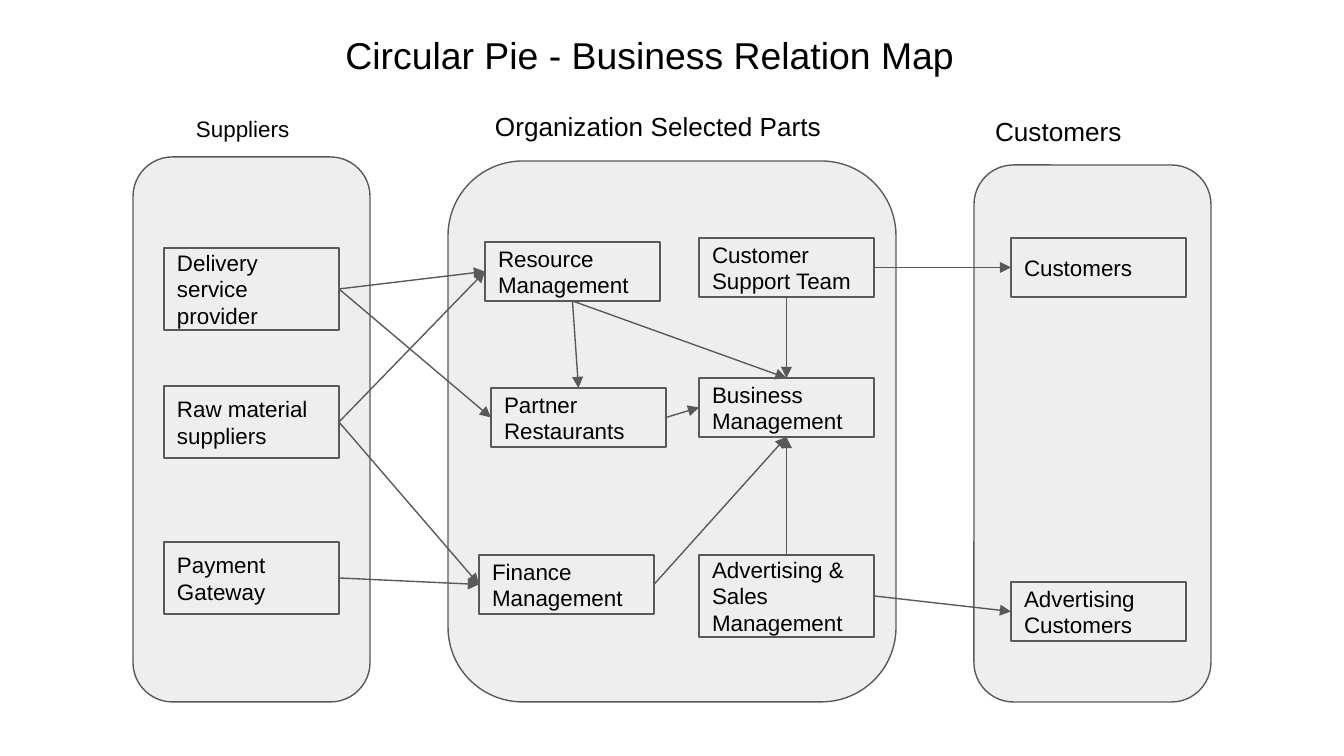
from dataclasses import dataclass

import pptx
import pptx.dml.color
import pptx.enum.shapes
import pptx.enum.text
import pptx.oxml
import pptx.oxml.ns
import pptx.shapes.autoshape
import pptx.util

EMU_PER_PX = 914400 / 134.4
COLORS = {"fill": "EEEEEE", "line": "595959", "text": "000000"}
FONT = "Arial"
INSET = 13
BOX_WIDTH = 175
TOP, LEFT, BOTTOM, RIGHT = range(4)  # connection sites of a rectangle

Anchor = pptx.enum.text.MSO_ANCHOR
Align = pptx.enum.text.PP_ALIGN
Preset = pptx.enum.shapes.MSO_SHAPE


@dataclass(frozen=True)
class Panel:
    heading: str
    heading_area: tuple[int, int, int, int]
    heading_size: int
    area: tuple[int, int, int, int]


@dataclass(frozen=True)
class Unit:
    key: str
    label: str
    left: int
    top: int
    height: int = 59


@dataclass(frozen=True)
class Relation:
    source: str
    source_site: int
    target: str
    target_site: int


PANELS = [
    Panel("Suppliers", (183, 102, 181, 54), 12, (133, 157, 237, 545)),
    Panel("Organization Selected Parts", (482, 97, 414, 59), 14, (448, 161, 448, 541)),
    Panel("Customers", (982, 102, 181, 59), 14, (974, 165, 237, 537)),
]

UNITS = [
    Unit("delivery", "Delivery service provider", 164, 248, 82),
    Unit("materials", "Raw material suppliers", 164, 386, 72),
    Unit("payment", "Payment Gateway", 164, 542, 72),
    Unit("resource", "Resource Management", 485, 242),
    Unit("partner", "Partner Restaurants", 491, 388),
    Unit("finance", "Finance Management", 479, 555),
    Unit("support", "Customer Support Team", 699, 238),
    Unit("business", "Business\nManagement", 699, 378),
    Unit("advertising", "Advertising & Sales Management", 699, 555, 82),
    Unit("customers", "Customers", 1011, 238),
    Unit("advertisers", "Advertising Customers", 1011, 582),
]

RELATIONS = [
    Relation("delivery", RIGHT, "resource", LEFT),
    Relation("delivery", RIGHT, "partner", LEFT),
    Relation("materials", RIGHT, "resource", LEFT),
    Relation("materials", RIGHT, "finance", LEFT),
    Relation("payment", RIGHT, "finance", LEFT),
    Relation("resource", BOTTOM, "partner", TOP),
    Relation("resource", BOTTOM, "business", TOP),
    Relation("partner", RIGHT, "business", LEFT),
    Relation("finance", RIGHT, "business", BOTTOM),
    Relation("support", BOTTOM, "business", TOP),
    Relation("advertising", TOP, "business", BOTTOM),
    Relation("support", RIGHT, "customers", LEFT),
    Relation("advertising", RIGHT, "advertisers", LEFT),
]


def px(length: int) -> pptx.util.Emu:
    return pptx.util.Emu(round(length * EMU_PER_PX))


def color(name: str) -> pptx.dml.color.RGBColor:
    return pptx.dml.color.RGBColor.from_string(COLORS[name])


def write(shape, text: str, *, size: int, align=Align.LEFT, anchor=Anchor.TOP) -> None:
    frame = shape.text_frame
    frame.text = text
    frame.word_wrap = True
    frame.auto_size = pptx.enum.text.MSO_AUTO_SIZE.NONE
    frame.vertical_anchor = anchor
    frame.margin_left = frame.margin_right = px(INSET)
    frame.margin_top = frame.margin_bottom = px(INSET)
    for paragraph in frame.paragraphs:
        paragraph.alignment = align
        paragraph.font.name = FONT
        paragraph.font.size = pptx.util.Pt(size)
        paragraph.font.color.rgb = color("text")


def style_line(line) -> None:
    line.color.rgb = color("line")
    line.width = pptx.util.Pt(0.75)


def draw_outlined(slide, preset, area: tuple[int, int, int, int]) -> pptx.shapes.autoshape.Shape:
    shape = slide.shapes.add_shape(preset, *map(px, area))
    shape.shadow.inherit = False
    shape.fill.solid()
    shape.fill.fore_color.rgb = color("fill")
    style_line(shape.line)
    return shape


def draw_panel(slide, panel: Panel) -> None:
    draw_outlined(slide, Preset.ROUNDED_RECTANGLE, panel.area)
    heading = slide.shapes.add_textbox(*map(px, panel.heading_area))
    write(heading, panel.heading, size=panel.heading_size)


def draw_unit(slide, unit: Unit) -> pptx.shapes.autoshape.Shape:
    box = draw_outlined(slide, Preset.RECTANGLE, (unit.left, unit.top, BOX_WIDTH, unit.height))
    write(box, unit.label, size=12, anchor=Anchor.MIDDLE)
    return box


def draw_relation(slide, relation: Relation, boxes: dict) -> None:
    arrow = slide.shapes.add_connector(pptx.enum.shapes.MSO_CONNECTOR.STRAIGHT, 0, 0, 0, 0)
    arrow.begin_connect(boxes[relation.source], relation.source_site)
    arrow.end_connect(boxes[relation.target], relation.target_site)
    style_line(arrow.line)
    properties = arrow.element.spPr
    namespace = pptx.oxml.ns.nsdecls("a")
    properties.find(pptx.oxml.ns.qn("a:ln")).append(
        pptx.oxml.parse_xml(f'<a:tailEnd {namespace} type="triangle"/>')
    )
    properties.append(pptx.oxml.parse_xml(f"<a:effectLst {namespace}/>"))


def main() -> None:
    presentation = pptx.Presentation()
    presentation.slide_width, presentation.slide_height = px(1344), px(756)
    slide = presentation.slides.add_slide(presentation.slide_layouts.get_by_name("Title Only"))

    title = slide.shapes.title
    title.left, title.top, title.width, title.height = map(px, (42, 19, 1216, 73))
    write(title, "Circular Pie - Business Relation Map", size=20, align=Align.CENTER)

    for panel in PANELS:
        draw_panel(slide, panel)
    boxes = {unit.key: draw_unit(slide, unit) for unit in UNITS}
    for relation in RELATIONS:
        draw_relation(slide, relation, boxes)

    presentation.save("out.pptx")


if __name__ == "__main__":
    main()
